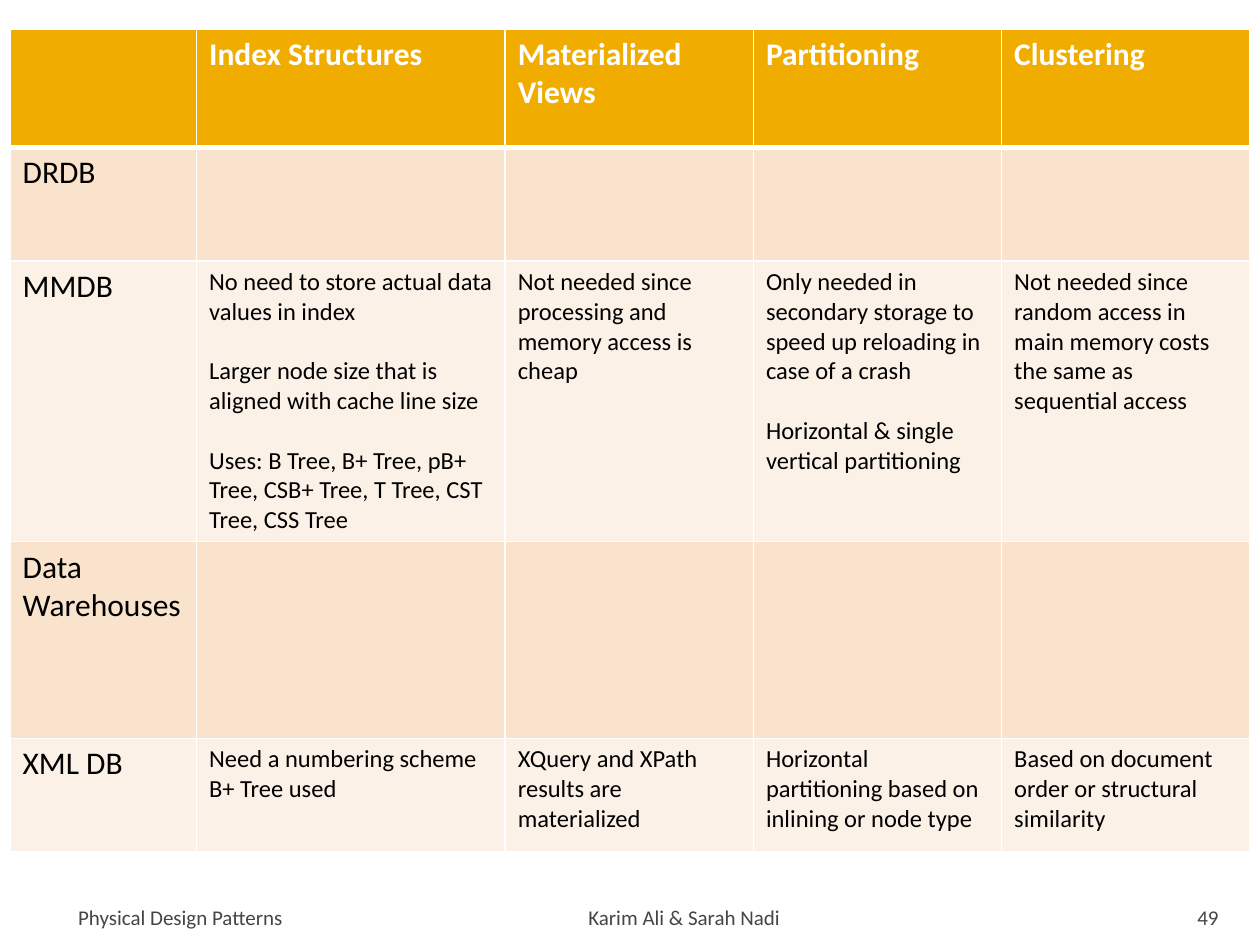
from lxml import etree
from pptx import Presentation
from pptx.dml.color import RGBColor
from pptx.enum import text as t
from pptx.oxml import ns
from pptx.util import Inches, Pt

WHITE = RGBColor(0xFF, 0xFF, 0xFF)
BLACK = RGBColor(0, 0, 0)
GREY = RGBColor(0x45, 0x45, 0x45)
GOLD = RGBColor(0xF0, 0xAD, 0x00)
PEACH = RGBColor(0xF9, 0xE3, 0xCC)
CREAM = RGBColor(0xFC, 0xF1, 0xE7)

WIDTHS = [1.48, 2.45, 1.97, 1.97, 1.97]
HEIGHTS = [0.94, 0.9, 2.23, 1.56, 0.9]
GAPS = [0, 0, 17, 0, 0]
ROWS = [
    ["", "Index Structures", "Materialized Views", "Partitioning", "Clustering"],
    ["DRDB", "", "", "", ""],
    ["MMDB",
     "No need to store actual data values in index\n"
     "Larger node size that is aligned with cache line size\n"
     "Uses: B Tree, B+ Tree, pB+ Tree, CSB+ Tree, T Tree, CST Tree, CSS Tree",
     "Not needed since processing and memory access is cheap",
     "Only needed in secondary storage to speed up reloading in case of a crash\n"
     "Horizontal & single vertical partitioning",
     "Not needed since random access in main memory costs the same as sequential access"],
    ["Data Warehouses", "", "", "", ""],
    ["XML DB",
     "Need a numbering scheme\nB+ Tree used",
     "XQuery and XPath results are materialized",
     "Horizontal partitioning based on inlining or node type",
     "Based on document order or structural similarity"],
]
LEFT, MID, RIGHT = t.PP_ALIGN.LEFT, t.PP_ALIGN.CENTER, t.PP_ALIGN.RIGHT
FOOTER = [
    ("Physical Design Patterns", 0.5, 2.33, LEFT, 0.12, 0.05),
    ("Karim Ali & Sarah Nadi", 2.42, 6.02, MID, 0.05, 0.05),
    ("49", 8.97, 0.8, RIGHT, 0.1, 0.1),
]


def style(para, size, color, bold=False):
    """Set the font of one paragraph."""
    font = para.font
    font.name, font.size, font.bold = "Calibri", Pt(size), bold
    font.color.rgb = color


def border(cell, **points):
    """Draw white lines on the four sides of a cell."""
    props = cell._tc.get_or_add_tcPr()
    for side in "LRTB":
        line = etree.SubElement(props, ns.qn("a:ln" + side),
                                w=str(Pt(points.get(side, 1))))
        fill = etree.SubElement(line, ns.qn("a:solidFill"))
        etree.SubElement(fill, ns.qn("a:srgbClr"), val=str(WHITE))


def matrix(slide, left, top):
    """Add the table of design patterns by database type."""
    frame = slide.shapes.add_table(len(ROWS), len(WIDTHS), Inches(left), Inches(top),
                                   Inches(sum(WIDTHS)), Inches(sum(HEIGHTS)))
    table = frame.table
    for col, width in zip(table.columns, WIDTHS):
        col.width = Inches(width)
    for r, words in enumerate(ROWS):
        table.rows[r].height = Inches(HEIGHTS[r])
        head = r == 0
        for c, word in enumerate(words):
            cell = table.cell(r, c)
            border(cell, T=3 if r == 1 else 1, B=3 if head else 1)
            cell.fill.solid()
            cell.fill.fore_color.rgb = GOLD if head else PEACH if r % 2 else CREAM
            cell.text = word
            for i, para in enumerate(cell.text_frame.paragraphs):
                style(para, 18 if head or c == 0 else 14, WHITE if head else BLACK, head)
                if i:
                    para.space_before = Pt(GAPS[r])


def footer(slide, top, height):
    """Add the footer texts along one line."""
    for words, left, width, align, start, end in FOOTER:
        box = slide.shapes.add_textbox(Inches(left), Inches(top),
                                       Inches(width), Inches(height))
        frame = box.text_frame
        frame.word_wrap = True
        frame.vertical_anchor = t.MSO_ANCHOR.BOTTOM
        frame.margin_left, frame.margin_right = Inches(start), Inches(end)
        frame.margin_top, frame.margin_bottom = Inches(0.05), 0
        para = frame.paragraphs[0]
        para.text, para.alignment = words, align
        style(para, 12, GREY)


def main():
    """Build the slide and save it."""
    deck = Presentation()
    deck.slide_width, deck.slide_height = Inches(10), Inches(7.5)
    slide = deck.slides.add_slide(deck.slide_layouts[6])
    footer(slide, 7.08, 0.3)
    matrix(slide, 0.08, 0.23)
    deck.save("out.pptx")


main()
